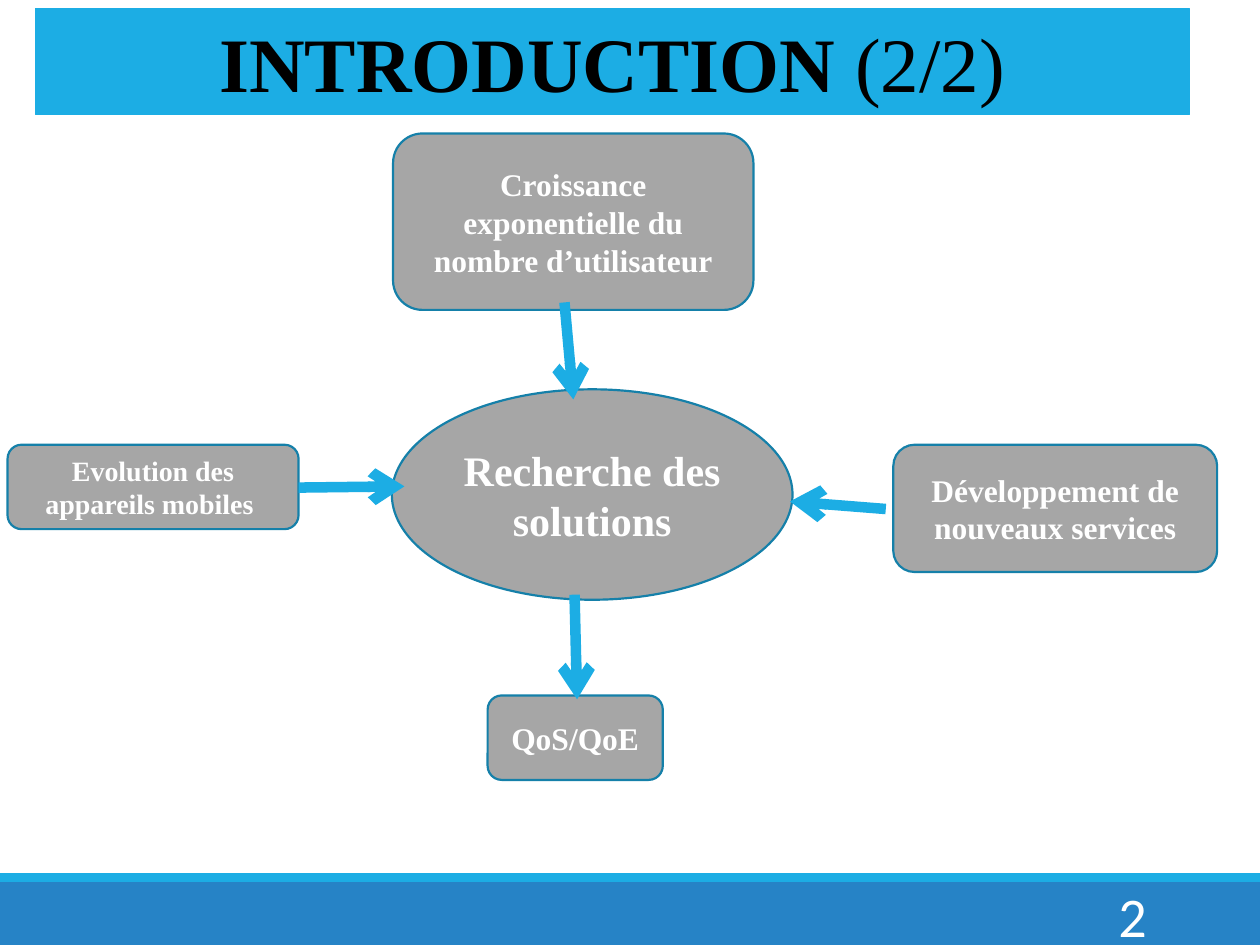
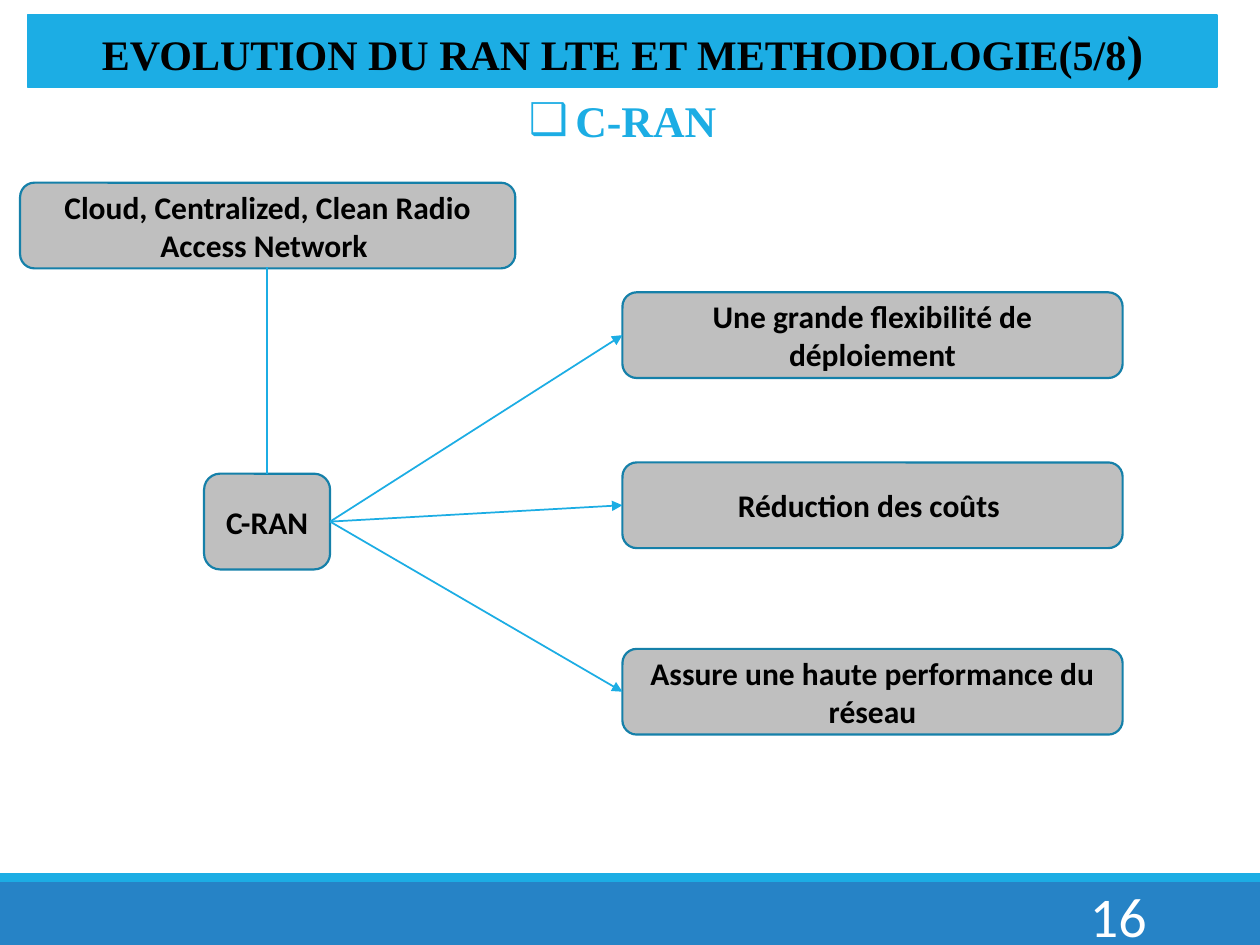
"""Build two French slides on mobile networks: an introduction diagram and a C-RAN diagram."""
from lxml import etree
from pptx import Presentation, util as u
from pptx.dml.color import RGBColor
from pptx.enum import shapes, text
from pptx.oxml import ns

CYAN, BLUE, TEAL = "1CADE4", "2683C6", "1580A9"
GREY, SILVER, WHITE, BLACK = "A6A6A6", "BFBFBF", "FFFFFF", "000000"
TIMES, CALIBRI = "Times New Roman", "Calibri"
ROUND, OVAL = shapes.MSO_SHAPE.ROUNDED_RECTANGLE, shapes.MSO_SHAPE.OVAL
CENTER, RIGHT = text.PP_ALIGN.CENTER, text.PP_ALIGN.RIGHT
TOP, MIDDLE = text.MSO_ANCHOR.TOP, text.MSO_ANCHOR.MIDDLE


def paint(fill, color):
    """Make a fill solid in a hex colour."""
    fill.solid()
    fill.fore_color.rgb = RGBColor.from_string(color)


def write(tf, words, size=18, font=TIMES, color=BLACK, bold=True, align=CENTER, anchor=MIDDLE):
    """Add a formatted run to the first paragraph of a text frame."""
    tf.word_wrap = True
    tf.auto_size = text.MSO_AUTO_SIZE.NONE
    tf.vertical_anchor = anchor
    p = tf.paragraphs[0]
    p.alignment = align
    p.space_before = u.Pt(0)
    r = p.add_run()
    r.text = words
    r.font.size, r.font.name, r.font.bold = u.Pt(size), font, bold
    paint(r.font.fill, color)


prs = Presentation()
prs.slide_width, prs.slide_height = u.Inches(10), u.Inches(7.5)

benefits = [
    (2.32, "Une grande flexibilité de déploiement"),
    (3.67, "Réduction des coûts "),
    (5.15, "Assure une haute performance du réseau"),
]
hub_right, benefit_left, benefit_h = 2.62, 4.94, 0.68

pages = [
    dict(
        layout=5, number="2", title_at=(0.28, 0.07, 9.16, 0.84),
        title=[("INTRODUCTION ", 44, True), ("(2/2)", 44, False)],
        fill=GREY, font=TIMES, color=WHITE,
        boxes=[
            (OVAL, (3.11, 3.09, 3.18, 1.67), "Recherche des solutions", 24),
            (ROUND, (0.06, 3.53, 2.31, 0.67), "Evolution des appareils mobiles ", 16),
            (ROUND, (3.87, 5.52, 1.39, 0.67), "QoS/QoE", 18),
            (ROUND, (3.12, 1.06, 2.86, 1.4), "Croissance exponentielle du nombre d’utilisateur", 18),
            (ROUND, (7.09, 3.53, 2.57, 1.01), "Développement de nouveaux services", 18),
        ],
        line_width=6,
        lines=[
            ((4.48, 2.4, 4.55, 3.17), "arrow"),
            ((4.56, 4.72, 4.58, 5.55), "arrow"),
            ((7.03, 4.04, 6.27, 3.98), "arrow"),
            ((2.37, 3.87, 3.21, 3.86), "arrow"),
        ],
    ),
    dict(
        layout=1, number="16", title_at=(0.22, 0.12, 9.44, 0.57),
        title=[("EVOLUTION DU RAN LTE ET METHODOLOGIE(5/8", 24, True), (")", 28, True)],
        subtitle="C-RAN",
        fill=SILVER, font=CALIBRI, color=BLACK,
        boxes=[
            (ROUND, (1.62, 3.76, 1, 0.76), "C-RAN", 18),
            (ROUND, (0.16, 1.45, 3.93, 0.68), "Cloud, Centralized, Clean Radio Access Network ", 18),
        ] + [
            (ROUND, (benefit_left, top, 3.97, benefit_h), words, 18) for top, words in benefits
        ],
        line_width=1,
        lines=[((2.12, 2.12, 2.12, 3.76), None)] + [
            ((hub_right, 4.14, benefit_left, top + benefit_h / 2), "triangle") for top, _ in benefits
        ],
    ),
]

for page in pages:
    s = prs.slides.add_slide(prs.slide_layouts[page["layout"]])

    if page is pages[0]:
        for top, height, color in [(7, 0.5, BLUE), (6.93, 0.07, CYAN)]:
            band = s.shapes.add_shape(
                shapes.MSO_SHAPE.RECTANGLE, 0, u.Inches(top), prs.slide_width, u.Inches(height))
            band.shadow.inherit = False
            paint(band.fill, color)
            band.line.fill.background()
            prs.slide_master.shapes.element.append(band.element)

    title = s.shapes.title
    title.left, title.top, title.width, title.height = map(u.Inches, page["title_at"])
    paint(title.fill, CYAN)
    paint(title.line.fill, CYAN)
    title.line.width = u.Pt(0.75)
    for words, size, bold in page["title"]:
        write(title.text_frame, words, size, bold=bold, anchor=TOP)

    if "subtitle" in page:
        body = s.placeholders[1]
        body.left, body.top, body.width, body.height = map(u.Inches, (0.22, 0.69, 9.44, 0.52))
        pPr = body.text_frame.paragraphs[0]._p.get_or_add_pPr()
        pPr.set("marL", str(u.Inches(0.37)))
        pPr.set("indent", str(u.Inches(-0.37)))
        etree.SubElement(pPr, ns.qn("a:buChar"), char="❑")
        write(body.text_frame, page["subtitle"], 25, color=CYAN, anchor=TOP)

    number = s.shapes.add_textbox(*map(u.Inches, (8.12, 7.06, 1.08, 0.4)))
    write(number.text_frame, page["number"], 32, CALIBRI, WHITE, bold=False, align=RIGHT)

    for kind, at, words, size in page["boxes"]:
        sp = s.shapes.add_shape(kind, *map(u.Inches, at))
        sp.shadow.inherit = False
        paint(sp.fill, page["fill"])
        paint(sp.line.fill, TEAL)
        sp.line.width = u.Pt(1.25)
        write(sp.text_frame, words, size, page["font"], page["color"])

    for ends, head in page["lines"]:
        cx = s.shapes.add_connector(shapes.MSO_CONNECTOR.STRAIGHT, *map(u.Inches, ends))
        paint(cx.line.fill, CYAN)
        cx.line.width = u.Pt(page["line_width"])
        spPr = cx.element.spPr
        if head:
            etree.SubElement(spPr.find(ns.qn("a:ln")), ns.qn("a:tailEnd"), type=head)
        etree.SubElement(spPr, ns.qn("a:effectLst"))

prs.save("out.pptx")
